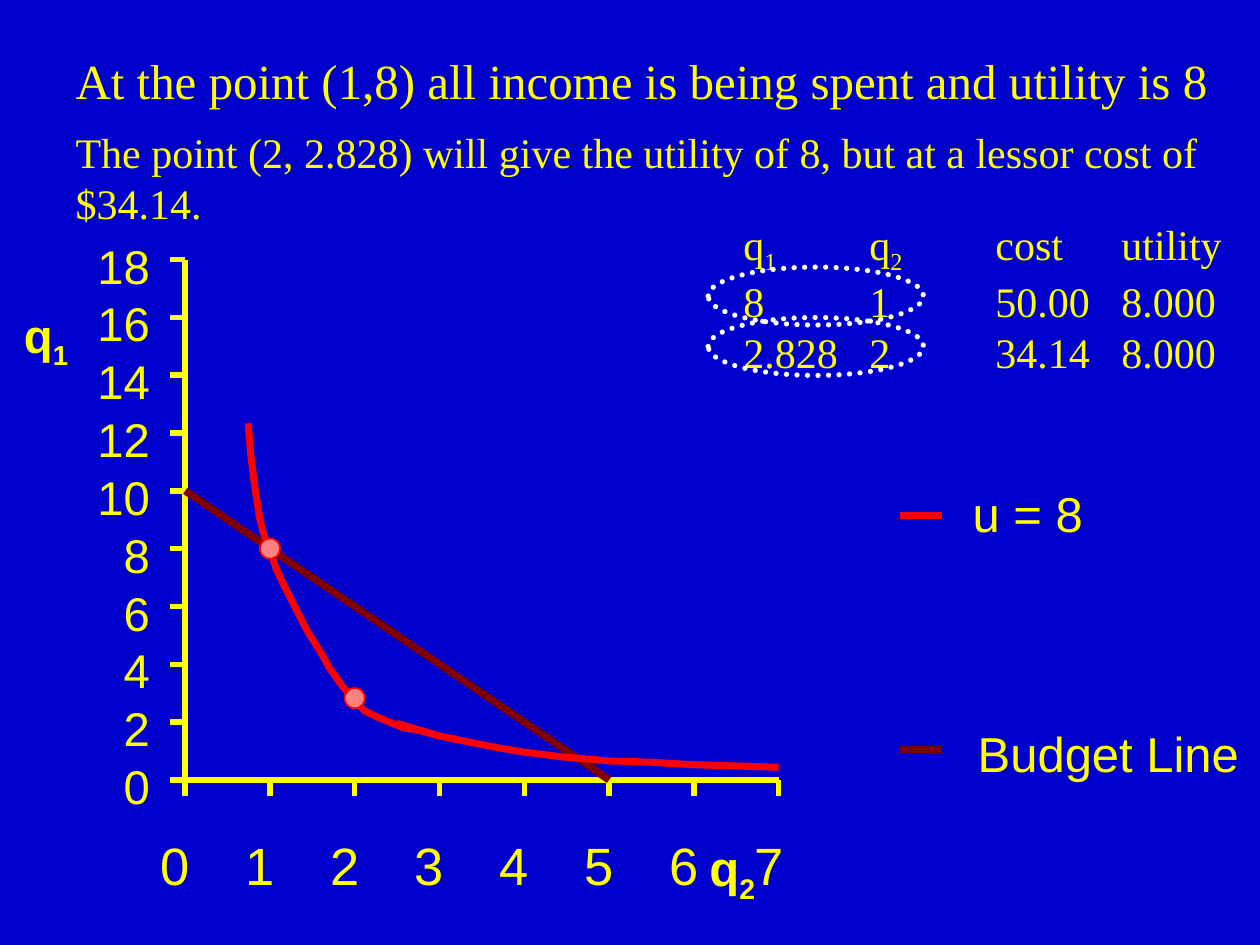
from lxml.etree import SubElement
from pptx import Presentation
from pptx.dml.color import RGBColor
from pptx.enum.dml import MSO_LINE
from pptx.enum.shapes import MSO_CONNECTOR, MSO_SHAPE
from pptx.enum.text import MSO_ANCHOR, MSO_AUTO_SIZE, PP_ALIGN
from pptx.oxml.ns import qn
from pptx.util import Inches, Pt

BLUE = RGBColor(0x00, 0x00, 0xCC)
YELLOW = RGBColor(0xFF, 0xFF, 0x00)
MAROON = RGBColor(0x80, 0x00, 0x00)
RED = RGBColor(0xFF, 0x00, 0x00)
PINK = RGBColor(0xFF, 0x80, 0x80)
WHITE = RGBColor(0xFF, 0xFF, 0xFF)
SERIF, SANS = "Times New Roman", "Arial"

# Content: a "_" marks that the rest of the text is a subscript
HEADLINE = "At the point (1,8) all income is being spent and utility is 8"
EXPLANATION = ("The point (2, 2.828) will give the utility of 8, "
               "but at a lessor cost of $34.14.")
BUNDLES = [
    ("q_1", "q_2", "cost", "utility"),
    ("8", "1", "50.00", "8.000"),
    ("2.828", "2", "34.14", "8.000"),
]
ROW_HEIGHTS = (0.45, 0.4, 0.4)
BUDGET_ENDS = [(0, 10), (5, 0)]              # (q2, q1)
MARKED_POINTS = [(2, 2.828), (1, 8)]         # (q2, q1)
LEGEND = [("u = 8", RED, 4.09, 7.72, 3.84), ("Budget Line", MAROON, 5.95, 7.76, 5.74)]
AXIS_NAMES = [("q_2", 28, 5.63, 6.65), ("q_1", 27, 0.19, 2.43)]
RING_TOPS = (2.12, 2.52)

# Indifference curve in inches, and the short overlapping stroke beside it
CURVE = [
    (1.97, 3.36), (1.99, 3.61), (2.02, 3.85), (2.06, 4.11), (2.09, 4.23),
    (2.14, 4.36), (2.19, 4.51), (2.26, 4.66), (2.44, 5.01), (2.54, 5.17),
    (2.62, 5.31), (2.72, 5.45), (2.81, 5.55), (2.89, 5.64), (2.99, 5.69),
    (3.11, 5.74), (3.21, 5.78), (3.29, 5.79), (3.38, 5.81), (3.48, 5.84),
    (3.82, 5.91), (3.98, 5.94), (4.16, 5.97), (4.48, 6.01), (4.84, 6.04),
    (5.16, 6.05), (5.51, 6.07), (6.18, 6.09),
]
OVERLAP = [(3.15, 5.74), (3.28, 5.78), (3.48, 5.84)]

# Axis scales
ORIGIN_X, ORIGIN_Y = 1.47, 6.19
AXIS_RIGHT, AXIS_TOP = 6.18, 2.06
Q2_MAX, Q1_MAX, Q1_STEP = 7, 18, 2


def x_of(q2):
    return ORIGIN_X + q2 * (AXIS_RIGHT - ORIGIN_X) / Q2_MAX


def y_of(q1):
    return ORIGIN_Y - q1 * (ORIGIN_Y - AXIS_TOP) / Q1_MAX


def write(paragraph, text, size, font_name, bold=False):
    base, _, subscript = text.partition("_")
    for index, part in enumerate((base, subscript)):
        if part:
            run = paragraph.add_run()
            run.text = part
            run.font.size = Pt(size)
            run.font.name = font_name
            run.font.bold = bold
            run.font.color.rgb = YELLOW
            if index:
                run.font._element.set("baseline", "-25000")


def add_label(text, size, left, top, width, alignment=PP_ALIGN.LEFT, bold=False):
    box = slide.shapes.add_textbox(Inches(left), Inches(top), Inches(width), Inches(0.5))
    frame = box.text_frame
    frame.word_wrap = True
    frame.margin_left = frame.margin_right = frame.margin_top = frame.margin_bottom = 0
    frame.paragraphs[0].alignment = alignment
    write(frame.paragraphs[0], text, size, SANS, bold)


def add_line(start, end, color, width):
    line = slide.shapes.add_connector(
        MSO_CONNECTOR.STRAIGHT, *(Inches(value) for value in (*start, *end)))
    line.line.color.rgb = color
    line.line.width = Pt(width)
    SubElement(line._element.spPr, qn("a:effectLst"))


def add_curve(points):
    (start_x, start_y), *rest = [(Inches(x), Inches(y)) for x, y in points]
    builder = slide.shapes.build_freeform(start_x, start_y)
    builder.add_line_segments(rest, close=False)
    curve = builder.convert_to_shape()
    curve.shadow.inherit = False
    curve.fill.background()
    curve.line.color.rgb = RED
    curve.line.width = Pt(4)


def add_ellipse(left, top, width, height, line_color, line_width):
    ellipse = slide.shapes.add_shape(
        MSO_SHAPE.OVAL, Inches(left), Inches(top), Inches(width), Inches(height))
    ellipse.shadow.inherit = False
    ellipse.fill.background()
    ellipse.line.color.rgb = line_color
    ellipse.line.width = Pt(line_width)
    return ellipse


def fill_placeholder(placeholder, text, size, spacing, left, top, width, height):
    placeholder.left, placeholder.top = Inches(left), Inches(top)
    placeholder.width, placeholder.height = Inches(width), Inches(height)
    frame = placeholder.text_frame
    frame.auto_size = MSO_AUTO_SIZE.NONE
    frame.vertical_anchor = MSO_ANCHOR.TOP
    paragraph = frame.paragraphs[0]
    properties = paragraph._element.get_or_add_pPr()
    properties.set("marL", "0")
    properties.set("indent", "0")
    SubElement(properties, qn("a:buNone"))
    paragraph.alignment = PP_ALIGN.LEFT
    paragraph.space_before = Pt(0)
    paragraph.line_spacing = Pt(spacing)
    write(paragraph, text, size, SERIF)


presentation = Presentation()
presentation.slide_width, presentation.slide_height = Inches(10), Inches(7.5)
slide = presentation.slides.add_slide(presentation.slide_layouts[1])
slide.background.fill.solid()
slide.background.fill.fore_color.rgb = BLUE

# Headline and explanation
fill_placeholder(slide.shapes.title, HEADLINE, 28, 33, 0.5, 0.36, 9.34, 0.57)
fill_placeholder(slide.placeholders[1], EXPLANATION, 24, 29, 0.5, 0.95, 9.25, 0.9)

# Axes with ticks and numbers
add_line((ORIGIN_X, AXIS_TOP), (ORIGIN_X, ORIGIN_Y), YELLOW, 3.12)
add_line((ORIGIN_X, ORIGIN_Y), (AXIS_RIGHT, ORIGIN_Y), YELLOW, 3.12)
for q1 in range(0, Q1_MAX + 1, Q1_STEP):
    y = y_of(q1)
    add_line((ORIGIN_X - 0.12, y), (ORIGIN_X, y), YELLOW, 3.12)
    add_label(str(q1), 27, 0.7, y - 0.18, 0.49, PP_ALIGN.RIGHT)
for q2 in range(Q2_MAX + 1):
    x = x_of(q2)
    add_line((x, ORIGIN_Y + 0.13), (x, ORIGIN_Y), YELLOW, 3.12)
    add_label(str(q2), 30, x - 0.24, 6.61, 0.32, PP_ALIGN.CENTER)
for name, size, left, top in AXIS_NAMES:
    add_label(name, size, left, top, 0.45, bold=True)

# Budget line and indifference curve
budget_start, budget_end = [(x_of(q2), y_of(q1)) for q2, q1 in BUDGET_ENDS]
add_line(budget_start, budget_end, MAROON, 4.25)
add_curve(CURVE)
add_curve(OVERLAP)

# Legend
for text, color, line_y, text_left, text_top in LEGEND:
    add_line((7.14, line_y), (7.48, line_y), color, 4)
    add_label(text, 28, text_left, text_top, 2.2)

# Table of bundles
table_frame = slide.shapes.add_table(
    len(BUNDLES), len(BUNDLES[0]), Inches(5.9), Inches(1.77),
    Inches(4), Inches(sum(ROW_HEIGHTS)))
table = table_frame.table
table.first_row = table.horz_banding = False
style = table._tbl.tblPr.find(qn("a:tableStyleId"))
style.text = "{2D5ABB26-0587-4C30-8999-92F81FD0307C}"  # no style, no grid
for row, values, height in zip(table.rows, BUNDLES, ROW_HEIGHTS):
    row.height = Inches(height)
    for cell, value in zip(row.cells, values):
        cell.margin_left = cell.margin_right = cell.margin_top = cell.margin_bottom = 0
        cell.fill.background()
        write(cell.text_frame.paragraphs[0], value, 24, SERIF)

# Marked points and the rings round their table rows
for q2, q1 in MARKED_POINTS:
    point = add_ellipse(x_of(q2) - 0.08, y_of(q1) - 0.08, 0.16, 0.16, RED, 1)
    point.fill.solid()
    point.fill.fore_color.rgb = PINK
for top in RING_TOPS:
    ring = add_ellipse(5.62, top, 1.71, 0.46, WHITE, 3)
    ring.line.dash_style = MSO_LINE.ROUND_DOT
    ring._element.spPr.find(qn("a:ln")).set("cap", "rnd")

presentation.save("out.pptx")
